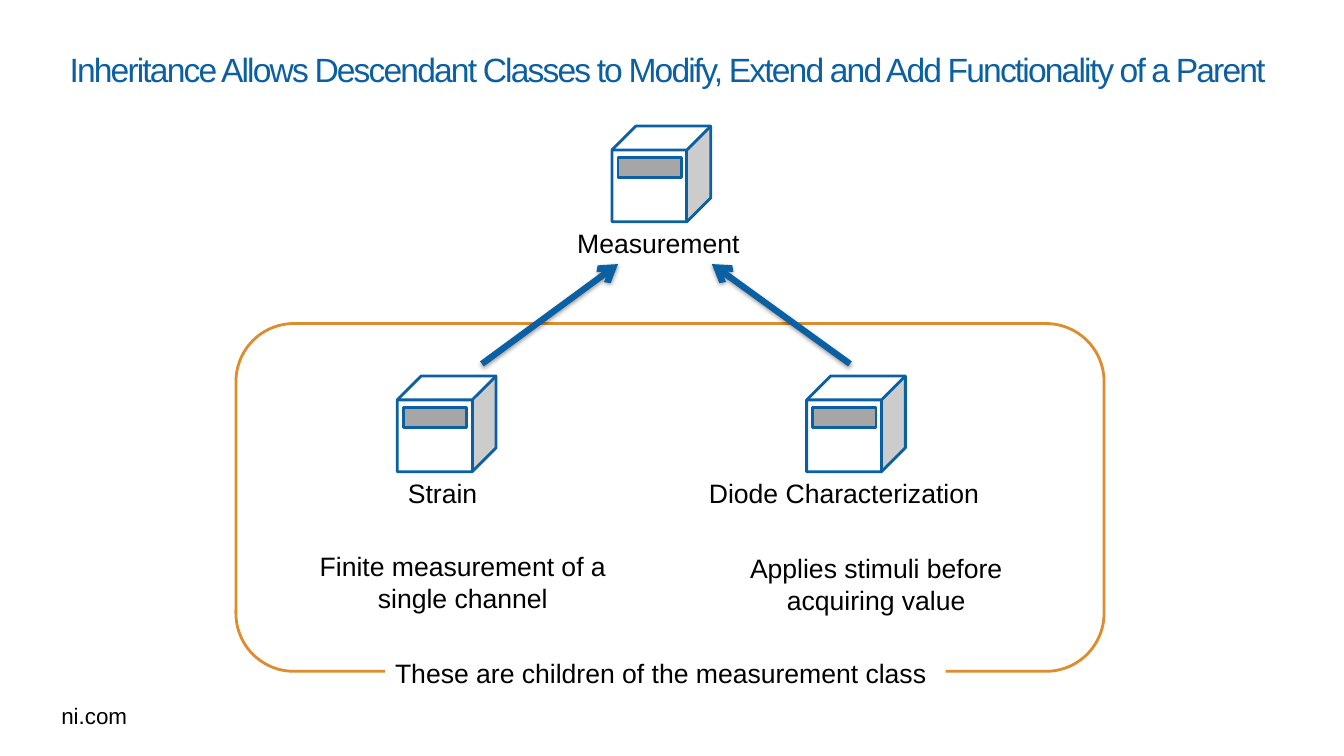
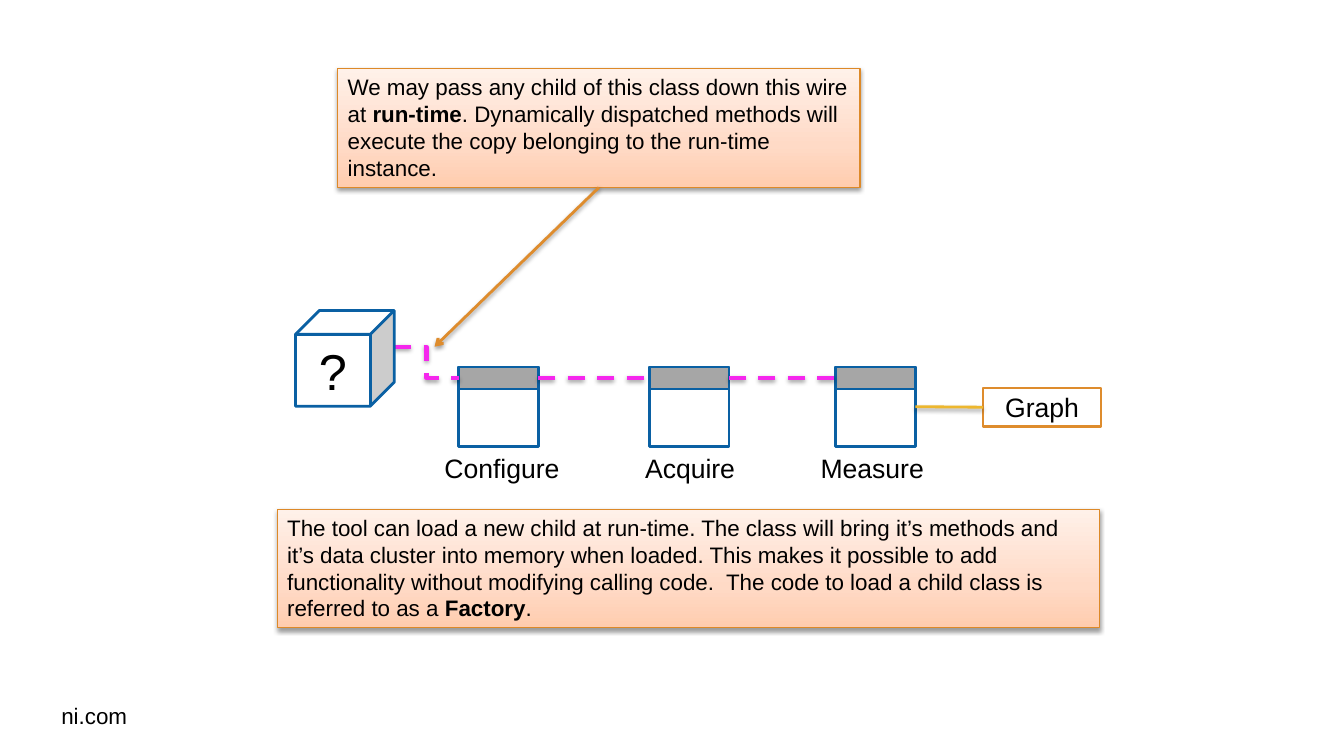
"""Build two slides on class inheritance and dynamic dispatch."""
from copy import deepcopy

from lxml.etree import SubElement
from pptx import Presentation
from pptx.dml.color import RGBColor
from pptx.enum.dml import MSO_LINE
from pptx.enum.shapes import MSO_CONNECTOR as CXN, MSO_SHAPE as SHP
from pptx.enum.text import MSO_ANCHOR as ANC, PP_ALIGN as AL
from pptx.oxml.ns import qn
from pptx.util import Inches, Pt

FONT = "Arial"
BLACK = RGBColor(0x00, 0x00, 0x00)
WHITE = RGBColor(0xFF, 0xFF, 0xFF)
GRAY = RGBColor(0xA6, 0xA6, 0xA6)
BLUE = RGBColor(0x0A, 0x60, 0xA3)
ORANGE = RGBColor(0xDE, 0x8C, 0x2D)
CALLOUT_LINE = RGBColor(0xDD, 0x89, 0x28)
YELLOW = RGBColor(0xED, 0xB7, 0x2E)
PINK = RGBColor(0xF5, 0x27, 0xED)
PEACH_STOPS = (
    (0, RGBColor(0xFF, 0xCC, 0xAE)),
    (0.35, RGBColor(0xFF, 0xDA, 0xC6)),
    (1, RGBColor(0xFF, 0xF1, 0xE9)),
)


def apply(obj, values):
    for name, value in values.items():
        setattr(obj, name, value)


def box(left, top, width, height):
    return [Inches(v) for v in (left, top, width, height)]


def write(sp, runs, size=19, color=BLACK, align=AL.LEFT, anchor=ANC.TOP, wrap=True, spacing=None):
    tf = sp.text_frame
    apply(tf, {"word_wrap": wrap, "vertical_anchor": anchor})
    p = tf.paragraphs[0]
    p.alignment = align
    for text, bold in [(runs, False)] if isinstance(runs, str) else runs:
        r = p.add_run()
        r.text = text
        apply(r.font, {"name": FONT, "size": Pt(size), "bold": bold})
        r.font.color.rgb = color
        if spacing:
            r.font._element.set("spc", str(round(spacing * 100)))
    return sp


def add_text(shapes, at, runs, **style):
    return write(shapes.add_textbox(*box(*at)), runs, **style)


def add_box(shapes, kind, at, fill=WHITE, line=BLUE, width=2):
    sp = shapes.add_shape(kind, *box(*at))
    sp.shadow.inherit = False
    sp.fill.solid()
    sp.fill.fore_color.rgb = fill
    if line is None:
        sp.line.fill.background()
    else:
        sp.line.color.rgb = line
        sp.line.width = Pt(width)
    return sp


def add_shadow(sp):
    sp_pr = sp._element.spPr
    effects = sp_pr.find(qn("a:effectLst"))
    if effects is None:
        effects = SubElement(sp_pr, qn("a:effectLst"))
    shadow = SubElement(effects, qn("a:outerShdw"), blurRad="40000", dist="20000",
                        dir="5400000", rotWithShape="0")
    tint = SubElement(shadow, qn("a:srgbClr"), val="000000")
    SubElement(tint, qn("a:alpha"), val="38000")


def add_line(shapes, start, end, color, width, kind=CXN.STRAIGHT, dash=None, arrow=False,
             begin=None, finish=None):
    cx = shapes.add_connector(kind, *box(*start, *end))
    cx.line.color.rgb = color
    apply(cx.line, {"width": Pt(width), "dash_style": dash})
    if arrow:
        SubElement(cx.line._get_or_add_ln(), qn("a:tailEnd"), type="arrow")
    add_shadow(cx)
    if begin:
        cx.begin_connect(*begin)
    if finish:
        cx.end_connect(*finish)
    return cx


def add_cube(shapes, left, top):
    return add_box(shapes, SHP.CUBE, (left, top, 0.98, 0.95))


def add_class(s, left, top, name, label_left, label_width):
    shapes = s.shapes.add_group_shape().shapes
    add_cube(shapes, left, top)
    add_box(shapes, SHP.RECTANGLE, (left + 0.06, top + 0.31, 0.63, 0.2), fill=GRAY)
    add_text(shapes, (label_left, top + 0.95, label_width, 0.42), name, align=AL.CENTER)


def add_method(s, left, name, label_left, label_width):
    shapes = s.shapes.add_group_shape().shapes
    body = add_box(shapes, SHP.RECTANGLE, (left, 3.64, 0.79, 0.79))
    header = add_box(shapes, SHP.RECTANGLE, (left, 3.64, 0.79, 0.22), fill=GRAY)
    add_text(shapes, (label_left, 4.43, label_width, 0.42), name, wrap=False)
    return body, header


def add_callout(s, at, runs):
    sp = add_box(s.shapes, SHP.RECTANGLE, at, line=CALLOUT_LINE, width=0.75)
    sp.fill.gradient()
    sp.fill.gradient_angle = 90
    stops = sp._element.spPr.find(".//" + qn("a:gsLst"))
    stops.insert(1, deepcopy(stops[0]))
    for stop, (position, color) in zip(sp.fill.gradient_stops, PEACH_STOPS):
        stop.position = position
        stop.color.rgb = color
    add_shadow(sp)
    return write(sp, runs, size=16)


def add_title(s, text):
    sp = add_text(s.shapes, (0.69, 0.16, 11.97, 1.05), text, size=24, color=BLUE,
                  anchor=ANC.MIDDLE, spacing=-1.32)
    apply(sp.text_frame, {"margin_left": 0, "margin_right": 0})


def new_slide(prs):
    s = prs.slides.add_slide(prs.slide_layouts[6])
    add_text(s.shapes, (0.51, 6.92, 0.86, 0.37), "ni.com", size=16, wrap=False)
    return s


def inheritance_slide(prs):
    s = new_slide(prs)
    add_box(s.shapes, SHP.ROUNDED_RECTANGLE, (2.34, 3.21, 8.61, 3.45), line=ORANGE)
    for item in (
        (6.07, 1.25, "Measurement", 5.57, 1.92),
        (3.94, 3.73, "Strain", 3.43, 1.92),
        (8, 3.73, "Diode Characterization", 6.56, 3.62),
    ):
        add_class(s, *item)
    for child_x, parent_x in ((4.78, 6.13), (8.43, 7.06)):
        add_line(s.shapes, (child_x, 3.61), (parent_x, 2.62), BLUE, 4.5, arrow=True)
    caption = add_box(s.shapes, SHP.RECTANGLE, (3.82, 6.47, 5.56, 0.42), line=None)
    write(caption, "These are children of the measurement class", wrap=False)
    for left, top, text in (
        (3.05, 5.41, "Finite measurement of a single channel"),
        (7.15, 5.43, "Applies stimuli before acquiring value"),
    ):
        add_text(s.shapes, (left, top, 3.08, 0.74), text, align=AL.CENTER)
    add_title(s, "Inheritance Allows Descendant Classes to Modify, Extend and Add "
                 "Functionality of a Parent")


def dispatch_slide(prs):
    s = new_slide(prs)
    methods = [add_method(s, *item) for item in (
        (4.55, "Configure", 4.31, 1.36),
        (6.44, "Acquire", 6.3, 1.1),
        (8.29, "Measure", 8.04, 1.26),
    )]
    bodies, headers = zip(*methods)
    wire = {"color": PINK, "width": 3, "dash": MSO_LINE.DASH}
    for source, target in zip(headers, headers[1:]):
        add_line(s.shapes, (0, 0), (0, 0), begin=(source, 3), finish=(target, 1), **wire)
    add_line(s.shapes, (3.91, 3.44), (4.55, 3.75), kind=CXN.ELBOW,
             finish=(headers[0], 1), **wire)
    graph = add_box(s.shapes, SHP.RECTANGLE, (9.75, 3.85, 1.17, 0.38), line=ORANGE)
    write(graph, "Graph", align=AL.CENTER, anchor=ANC.MIDDLE)
    add_line(s.shapes, (0, 0), (0, 0), YELLOW, 2, begin=(bodies[-1], 3), finish=(graph, 1))
    write(add_cube(s.shapes, 2.93, 3.08), "?", size=36, align=AL.CENTER, anchor=ANC.MIDDLE)
    wire_note = add_callout(s, (3.35, 0.68, 5.18, 1.18), [
        ("We may pass any child of this class down this wire at ", False),
        ("run-time", True),
        (". Dynamically dispatched methods will execute the copy belonging to the "
         "run-time instance.", False),
    ])
    add_line(s.shapes, (5.94, 1.86), (4.31, 3.44), ORANGE, 2, arrow=True, begin=(wire_note, 2))
    add_callout(s, (2.75, 5.05, 8.16, 1.18), [
        ("The tool can load a new child at run-time. The class will bring it’s methods and "
         "it’s data cluster into memory when loaded. This makes it possible to add "
         "functionality without modifying calling code.  The code to load a child class is "
         "referred to as a ", False),
        ("Factory", True),
        (".", False),
    ])


def main():
    prs = Presentation()
    apply(prs, {"slide_width": Inches(13.33), "slide_height": Inches(7.5)})
    inheritance_slide(prs)
    dispatch_slide(prs)
    prs.save("out.pptx")


if __name__ == "__main__":
    main()
